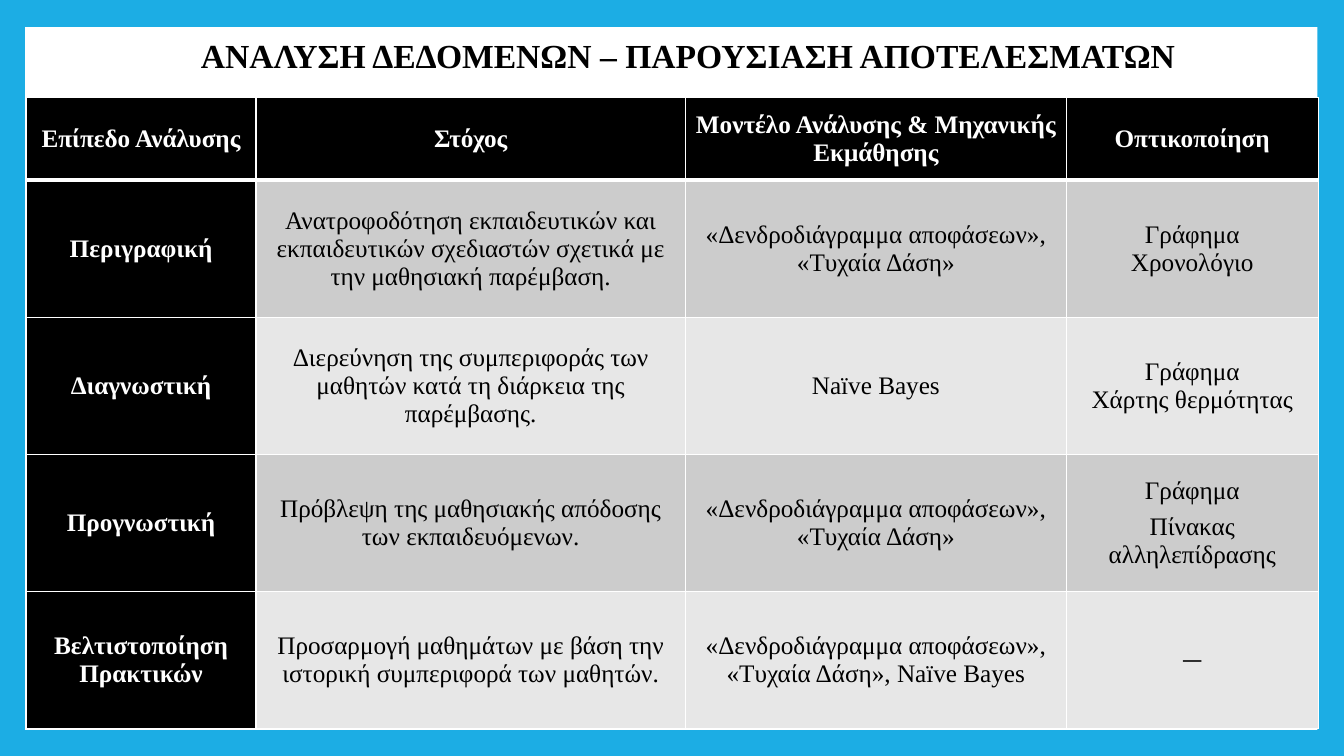
"""Build a slide with a table of data analysis levels."""
from typing import NamedTuple

from lxml.etree import SubElement
from pptx import Presentation
from pptx.dml.color import RGBColor
from pptx.enum.shapes import MSO_SHAPE
from pptx.enum.text import MSO_ANCHOR, PP_ALIGN
from pptx.oxml.ns import qn
from pptx.util import Pt

HUES = {"back": "1CADE4", "white": "FFFFFF", "black": "000000",
        "dark": "CCCCCC", "light": "E7E7E7"}
SERIF = "Times New Roman"
WIDTHS = (164.2, 306.7, 272.2, 179.8)
HEIGHTS = (59, 97.9, 97.9, 97.9, 97.9)
TREES = "«Δενδροδιάγραμμα αποφάσεων», «Τυχαία Δάση»"


class Level(NamedTuple):
    """Hold the texts of one table row."""
    name: str
    goal: str
    model: str
    chart: str


LEVELS = (
    Level("Επίπεδο Ανάλυσης", "Στόχος",
          "Μοντέλο Ανάλυσης & Μηχανικής Εκμάθησης", "Οπτικοποίηση"),
    Level("Περιγραφική",
          "Ανατροφοδότηση εκπαιδευτικών και εκπαιδευτικών σχεδιαστών "
          "σχετικά με την μαθησιακή παρέμβαση.",
          TREES, "Γράφημα\vΧρονολόγιο"),
    Level("Διαγνωστική",
          "Διερεύνηση της συμπεριφοράς των μαθητών κατά τη διάρκεια "
          "της παρέμβασης.",
          "Naïve Bayes", "Γράφημα\vΧάρτης θερμότητας"),
    Level("Προγνωστική",
          "Πρόβλεψη της μαθησιακής απόδοσης των εκπαιδευόμενων.",
          TREES, "Γράφημα\nΠίνακας αλληλεπίδρασης"),
    Level("Βελτιστοποίηση Πρακτικών",
          "Προσαρμογή μαθημάτων με βάση την ιστορική συμπεριφορά "
          "των μαθητών.",
          TREES + ", Naïve Bayes", "—"),
)


def tint(name: str) -> RGBColor:
    """Return the named colour."""
    return RGBColor.from_string(HUES[name])


def style(frame, size: float, hue: str, bold: bool, face: str = SERIF) -> None:
    """Centre the text of a frame and format its runs."""
    for place, para in enumerate(frame.paragraphs):
        para.alignment = PP_ALIGN.CENTER
        if place:
            para.space_before = Pt(6)
        for run in para.runs:
            font = run.font
            font.name, font.size, font.bold = face, Pt(size), bold
            font.color.rgb = tint(hue)


def edge(cell, side: str, width: float) -> None:
    """Draw a white border on one side of a cell."""
    props = cell._tc.get_or_add_tcPr()
    line = SubElement(props, qn(f"a:ln{side}"), w=str(Pt(width)))
    fill = SubElement(line, qn("a:solidFill"))
    SubElement(fill, qn("a:srgbClr"), val=HUES["white"])


def fill_cell(cell, text: str, row: int, col: int) -> None:
    """Write and format one table cell."""
    head = row == 0 or col == 0
    heavy = {"T": row == 1, "B": row == 0}
    for side in "LRTB":
        edge(cell, side, 3 if heavy.get(side) else 1)
    cell.fill.solid()
    cell.fill.fore_color.rgb = tint(
        "black" if head else "dark" if row % 2 else "light")
    cell.margin_left = cell.margin_right = Pt(5)
    cell.margin_top = cell.margin_bottom = Pt(0)
    cell.vertical_anchor = MSO_ANCHOR.MIDDLE
    cell.text_frame.text = text
    style(cell.text_frame, 18, "white" if head else "black", head,
          "Calibri" if text == "—" else SERIF)


def add_panel(slide) -> None:
    """Add the white panel behind all other shapes."""
    panel = slide.shapes.add_shape(
        MSO_SHAPE.RECTANGLE, Pt(18), Pt(19.4), Pt(923), Pt(502))
    panel.shadow.inherit = False
    panel.fill.solid()
    panel.fill.fore_color.rgb = tint("white")
    panel.line.fill.background()
    slide.shapes._spTree.insert(2, panel._element)


def add_title(slide) -> None:
    """Place and format the title."""
    title = slide.shapes.title
    title.left, title.top = Pt(23), Pt(12.2)
    title.width, title.height = Pt(937), Pt(58.3)
    frame = title.text_frame
    frame.text = "ΑΝΑΛΥΣΗ ΔΕΔΟΜΕΝΩΝ – ΠΑΡΟΥΣΙΑΣΗ ΑΠΟΤΕΛΕΣΜΑΤΩΝ"
    frame.vertical_anchor = MSO_ANCHOR.MIDDLE
    frame.paragraphs[0].line_spacing = 0.9
    style(frame, 24, "black", True)


def add_grid(slide) -> None:
    """Add the table of levels."""
    grid = slide.shapes.add_table(
        len(LEVELS), len(WIDTHS), Pt(18.7), Pt(69.8),
        Pt(sum(WIDTHS)), Pt(sum(HEIGHTS))).table
    for col, width in zip(grid.columns, WIDTHS):
        col.width = Pt(width)
    for row, height in zip(grid.rows, HEIGHTS):
        row.height = Pt(height)
    for row, level in enumerate(LEVELS):
        for col, text in enumerate(level):
            fill_cell(grid.cell(row, col), text, row, col)


def main() -> None:
    """Build and save the deck."""
    deck = Presentation()
    deck.slide_width, deck.slide_height = Pt(960), Pt(540)
    slide = deck.slides.add_slide(deck.slide_layouts[5])
    slide.background.fill.solid()
    slide.background.fill.fore_color.rgb = tint("back")
    add_panel(slide)
    add_title(slide)
    add_grid(slide)
    deck.save("out.pptx")


if __name__ == "__main__":
    main()
